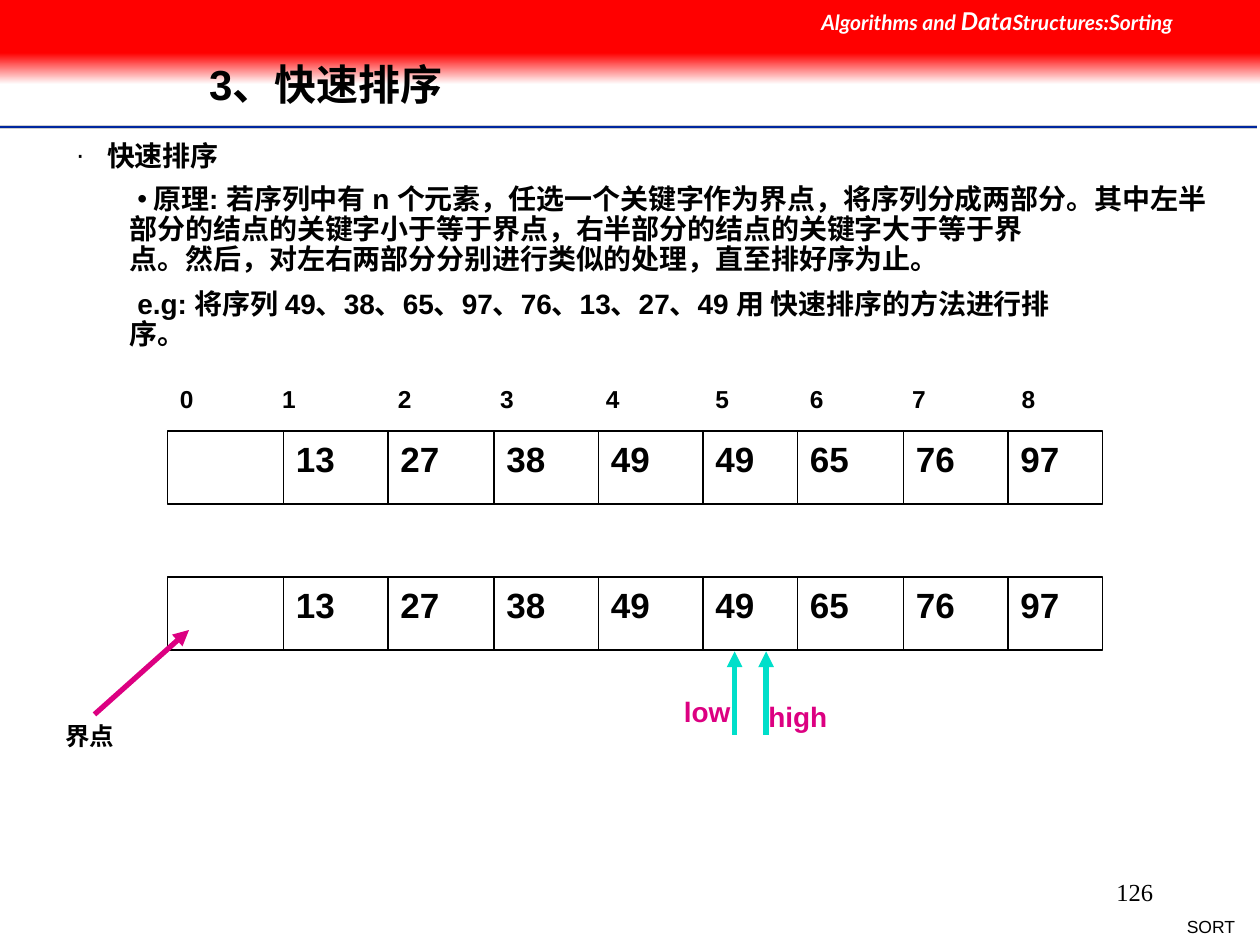
from lxml.etree import SubElement
from pptx import Presentation
from pptx.dml.color import RGBColor
from pptx.enum.shapes import MSO_CONNECTOR, MSO_SHAPE
from pptx.enum.text import MSO_ANCHOR, MSO_AUTO_SIZE, PP_ALIGN
from pptx.oxml.ns import qn
from pptx.util import Inches, Pt

THEME = {
    "font": "Arial", "header_font": "Lato", "number_font": "Times New Roman",
    "black": "000000", "white": "FFFFFF", "red": "FF0000", "blue": "00279F",
    "grey": "CECECE", "pink": "DC0081", "teal": "00DFCA",
    "title": 24, "cell": 20, "body": 16, "label": 14, "header": 12, "footer": 10,
}

TITLE = "3、快速排序"
HEADER = [("Algorithms and ", "header"), ("Data", "label"),
          ("Structures:Sorting", "header")]
BODY = [
    # text, bullet, left margin, indent, line spacing, space before
    ("快速排序", "·", 0.75, -0.25, 1.0, 0),
    (" 原理: 若序列中有 n 个元素，任选一个关键字作为界点，将序列分成两部分。"
     "其中左半部分的结点的关键字小于等于界点，右半部分的结点的关键字大于等于界\v"
     "点。然后，对左右两部分分别进行类似的处理，直至排好序为止。", "•", 0.93, 0.06, 0.9, 7.5),
    ("e.g: 将序列 49、38、65、97、76、13、27、49 用 快速排序的方法进行排\v序。",
     None, 0.93, 0.06, 0.9, 8),
]
VALUES = ["", "13", "27", "38", "49", "49", "65", "76", "97"]
CELL_EDGES = [1.33, 2.25, 3.08, 3.92, 4.75, 5.58, 6.33, 7.17, 8, 8.75]
ROW_TOPS = [3.42, 4.58]
ROW_HEIGHT = 0.58
INDEX_TABS = [0.81, 1.73, 2.54, 3.38, 4.25, 5, 5.81, 6.68]
RULES = [("grey", 2, 1.01), ("blue", 1, 1.01), ("white", 1, 1.03)]
ARROWS = [("teal", 6.08, 5.83, 6.08, 5.17), ("teal", 5.83, 5.83, 5.83, 5.17),
          ("pink", 0.75, 5.67, 1.5, 5)]
LABELS = [("low", 5.33, 5.46, 0.92, 0.37, "body", "pink"),
          ("high", 6, 5.5, 0.92, 0.37, "body", "pink"),
          ("界点", 0.42, 5.67, 0.83, 0.34, "label", "black")]


def rgb(name):
    return RGBColor.from_string(THEME[name])


def style(p, size, color="black", font="font", bold=True, italic=False):
    for r in p.runs:
        r.font.name = THEME[font]
        r.font.size = Pt(THEME[size])
        r.font.bold = bold
        r.font.italic = italic
        r.font.color.rgb = rgb(color)


def place(sp, x, y, w, h):
    sp.left, sp.top, sp.width, sp.height = map(Inches, (x, y, w, h))


def add_text(s, text, x, y, w, h, size, color="black", align=PP_ALIGN.LEFT, **look):
    sp = s.shapes.add_textbox(*map(Inches, (x, y, w, h)))
    tf = sp.text_frame
    tf.word_wrap = True
    p = tf.paragraphs[0]
    p.text = text
    p.alignment = align
    style(p, size, color, **look)
    return sp


def add_rect(s, x, y, w, h):
    sp = s.shapes.add_shape(MSO_SHAPE.RECTANGLE, *map(Inches, (x, y, w, h)))
    sp.shadow.inherit = False
    sp.line.fill.background()
    return sp


def add_line(s, x1, y1, x2, y2, color, width, arrow=False):
    line = s.shapes.add_connector(MSO_CONNECTOR.STRAIGHT,
                                  *map(Inches, (x1, y1, x2, y2)))
    line.line.color.rgb = rgb(color)
    line.line.width = Pt(width)
    if arrow:
        SubElement(line.line._get_or_add_ln(), qn("a:tailEnd"), type="triangle")
    SubElement(line._element.spPr, qn("a:effectLst"))


def add_header(s):
    fade = add_rect(s, 0, 0.42, 10, 0.25)
    fade.fill.gradient()
    fade.fill.gradient_angle = 270
    for stop, color in zip(fade.fill.gradient_stops, ("red", "white")):
        stop.color.rgb = rgb(color)
    band = add_rect(s, 0, 0, 10, 0.42)
    band.fill.solid()
    band.fill.fore_color.rgb = rgb("red")
    for color, width, y in RULES:
        add_line(s, 0, y, 9.98, y, color, width)
    sp = add_text(s, "", 6.42, 0, 3.58, 0.34, "header")
    p = sp.text_frame.paragraphs[0]
    for text, size in HEADER:
        p.add_run().text = text
    style(p, "header", "white", "header_font", italic=True)
    for r, (text, size) in zip(p.runs, HEADER):
        r.font.size = Pt(THEME[size])


def fill_placeholders(s):
    title, body = s.placeholders[0], s.placeholders[1]
    place(title, 1.56, 0.32, 7.55, 0.74)
    place(body, 0, 1.05, 9.75, 1.78)
    for sp in (title, body):
        sp.text_frame.auto_size = MSO_AUTO_SIZE.NONE
        sp._element.getparent().append(sp._element)
    title.text_frame.text = TITLE
    title.text_frame.vertical_anchor = MSO_ANCHOR.MIDDLE
    p = title.text_frame.paragraphs[0]
    p.alignment = PP_ALIGN.LEFT
    p.line_spacing = 0.9
    style(p, "title")

    tf = body.text_frame
    tf.vertical_anchor = MSO_ANCHOR.TOP
    for i, (text, bullet, margin, indent, spacing, before) in enumerate(BODY):
        p = tf.add_paragraph() if i else tf.paragraphs[0]
        p.text = text
        pPr = p._p.get_or_add_pPr()
        pPr.set("marL", str(Inches(margin)))
        pPr.set("indent", str(Inches(indent)))
        if bullet:
            SubElement(pPr, qn("a:buChar"), char=bullet)
        else:
            SubElement(pPr, qn("a:buNone"))
        p.line_spacing = spacing
        p.space_before = Pt(before)
        style(p, "body")


def add_array(s, top):
    left, right = CELL_EDGES[0], CELL_EDGES[-1]
    frame = add_rect(s, left, top, right - left, ROW_HEIGHT)
    frame.fill.solid()
    frame.fill.fore_color.rgb = rgb("white")
    frame.line.color.rgb = rgb("black")
    frame.line.width = Pt(0.75)
    for x, value in zip(CELL_EDGES[1:-1], VALUES[1:]):
        add_line(s, x, top, x, top + ROW_HEIGHT, "black", 0.75)
        add_text(s, value, x, top, 0.67, 0.44, "cell")


def add_indexes(s):
    text = "\t".join(str(i) for i in range(len(VALUES)))
    sp = add_text(s, text, 1.33, 3, 7.42, 0.34, "label")
    pPr = sp.text_frame.paragraphs[0]._p.get_or_add_pPr()
    tabs = SubElement(pPr, qn("a:tabLst"))
    for pos in INDEX_TABS:
        SubElement(tabs, qn("a:tab"), pos=str(Inches(pos)), algn="l")


def main():
    prs = Presentation()
    prs.slide_width, prs.slide_height = Inches(10), Inches(7.5)
    s = prs.slides.add_slide(prs.slide_layouts[1])
    add_header(s)
    fill_placeholders(s)
    add_indexes(s)
    for top in ROW_TOPS:
        add_array(s, top)
    for color, *ends in ARROWS:
        add_line(s, *ends, color, 3, arrow=True)
    for label in LABELS:
        add_text(s, *label)
    number = add_text(s, "126", 7.17, 6.83, 2.08, 0.5, "label", align=PP_ALIGN.RIGHT,
                      font="number_font", bold=False)
    number.text_frame.vertical_anchor = MSO_ANCHOR.MIDDLE
    add_text(s, "SORT", 9.1, 7.22, 0.8, 0.27, "footer", align=PP_ALIGN.RIGHT, bold=False)
    prs.save("out.pptx")


if __name__ == "__main__":
    main()
